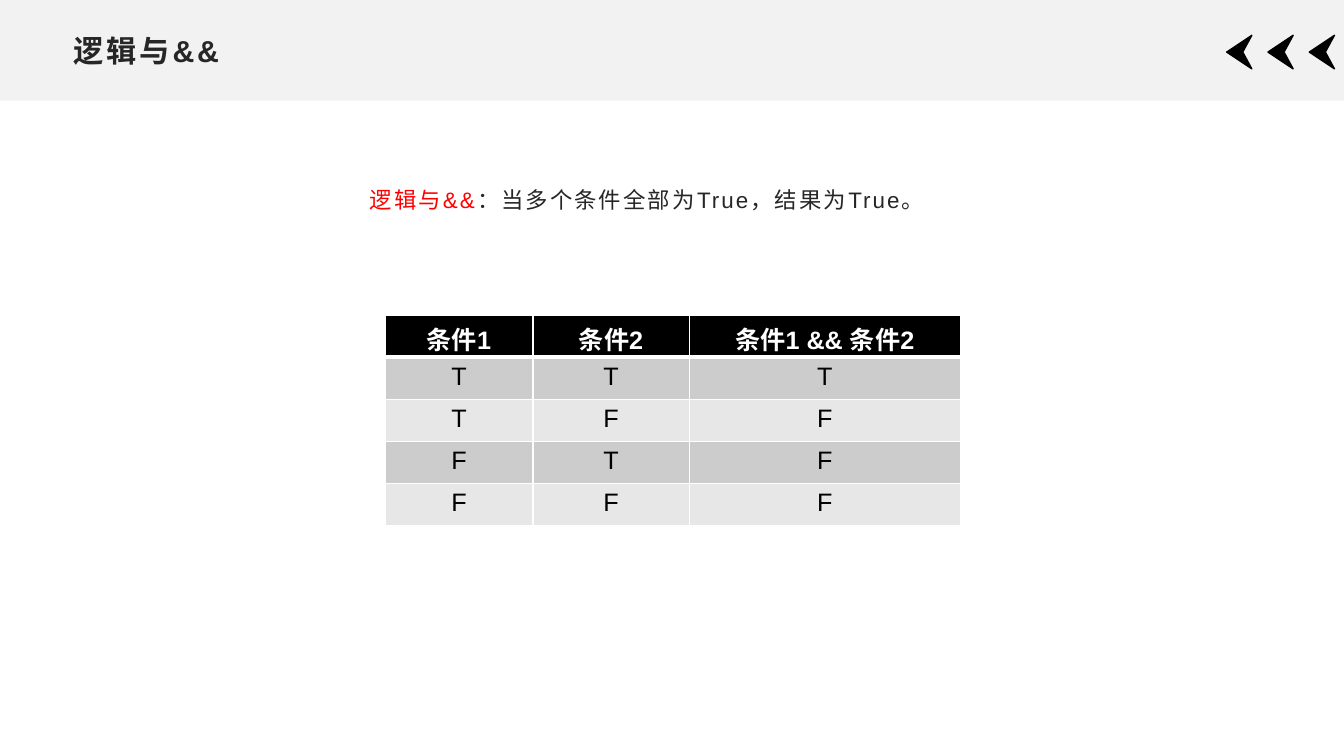
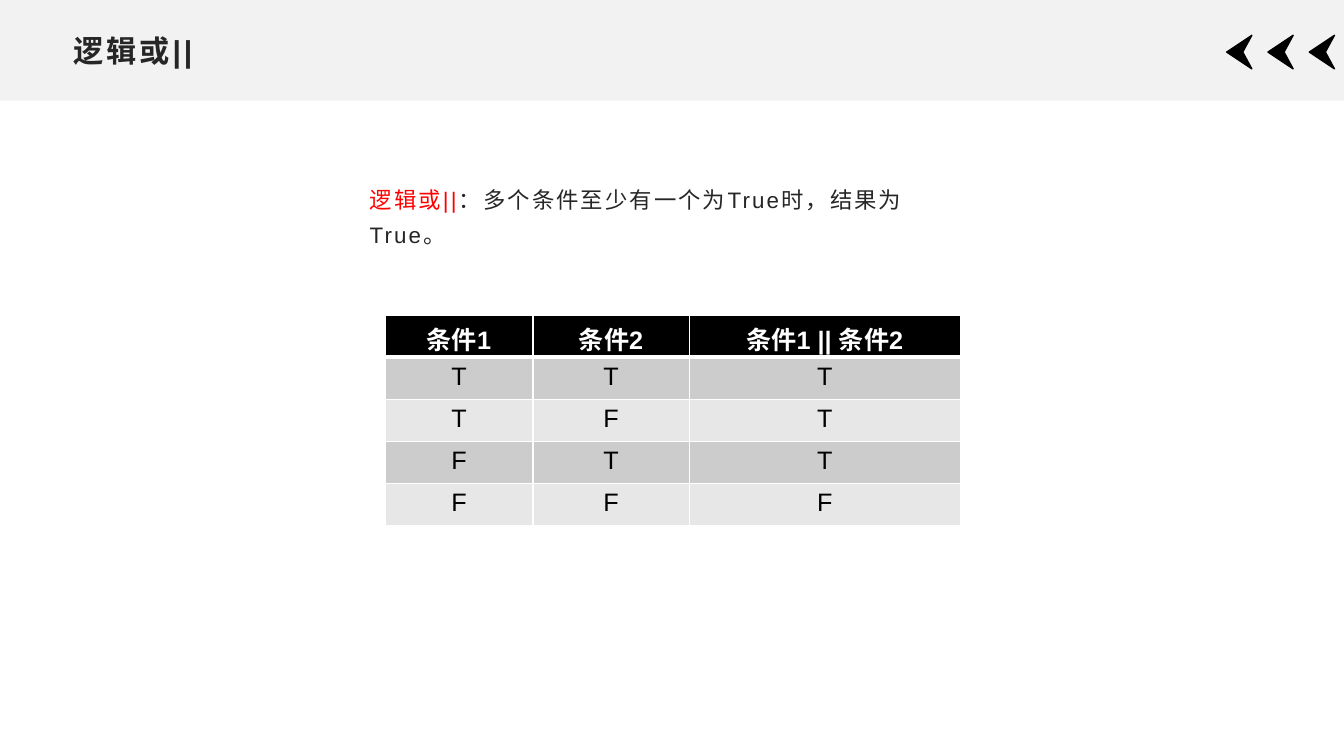
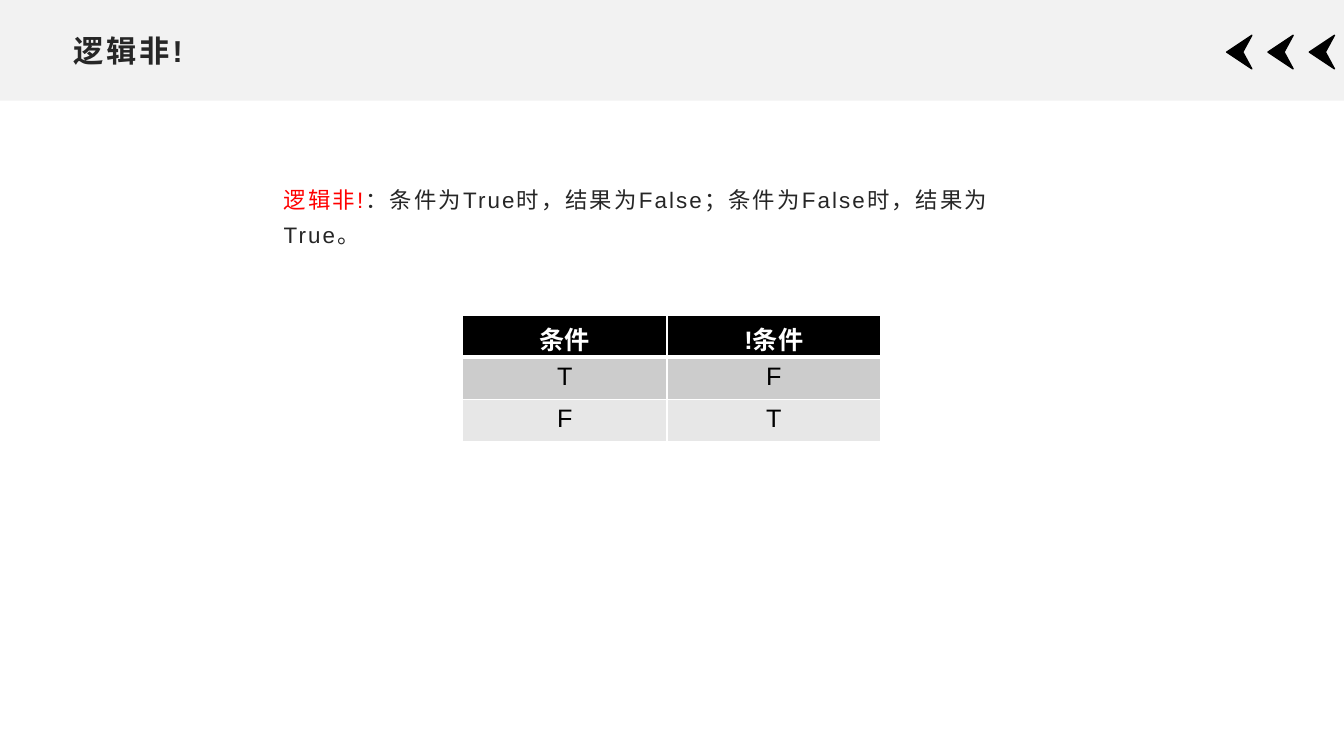
from dataclasses import dataclass

from lxml.etree import SubElement
from pptx import Presentation
from pptx.dml.color import RGBColor as Rgb
from pptx.enum.shapes import MSO_SHAPE as Shape
from pptx.enum.text import MSO_ANCHOR as Anchor, PP_ALIGN as Align
from pptx.oxml.ns import qn
from pptx.slide import Slide
from pptx.table import _Cell as Cell
from pptx.text.text import Font, TextFrame
from pptx.util import Pt


@dataclass(frozen=True)
class Theme:
    font: str = "Arial"
    band: Rgb = Rgb(0xF2, 0xF2, 0xF2)
    ink: Rgb = Rgb(0x26, 0x26, 0x26)
    accent: Rgb = Rgb(0xFF, 0x00, 0x00)
    black: Rgb = Rgb(0x00, 0x00, 0x00)
    white: Rgb = Rgb(0xFF, 0xFF, 0xFF)
    row_fills: tuple[Rgb, Rgb] = (Rgb(0xCC, 0xCC, 0xCC), Rgb(0xE7, 0xE7, 0xE7))
    title_size: float = 21.6
    body_size: float = 16
    table_size: float = 18


@dataclass(frozen=True)
class Operator:
    """One logical operator: its definition and its truth table."""
    name: str
    meaning: str
    meaning_left: float
    meaning_width: float
    table_left: float
    columns: tuple[float, ...]
    header: tuple[str, ...]
    rows: tuple[str, ...]


THEME = Theme()
SLIDE_WIDTH, SLIDE_HEIGHT = 960, 540
BAND_HEIGHT = 72
ARROW_LEFT, ARROW_TOP, ARROW_STEP, ARROW_COUNT = 876.2, 25.2, 29.5, 3
ARROW_OUTLINE = ((18, 24), (0, 12), (18, 0), (11.5, 12))
MEANING_TOP, TABLE_TOP, ROW_HEIGHT = 124, 225.2, 30
BINARY_COLUMNS = (105.7, 111.6, 193.7)

OPERATORS = (
    Operator("逻辑与&&", "：当多个条件全部为True，结果为True。", 257, 446,
             275, BINARY_COLUMNS, ("条件1", "条件2", "条件1 && 条件2"),
             ("TTT", "TFF", "FTF", "FFF")),
    Operator("逻辑或||", "：多个条件至少有一个为True时，结果为True。", 257, 449,
             275, BINARY_COLUMNS, ("条件1", "条件2", "条件1 || 条件2"),
             ("TTT", "TFT", "FTT", "FFF")),
    Operator("逻辑非!", "：条件为True时，结果为False；条件为False时，结果为True。", 195.6, 569.5,
             330.5, (146, 152.6), ("条件", "!条件"), ("TF", "FT")),
)


def style(font: Font, size: float, color: Rgb | None = None, bold: bool = False) -> None:
    font.name, font.size, font.bold = THEME.font, Pt(size), bold
    if color is not None:
        font.color.rgb = color


def add_text_frame(slide: Slide, left: float, top: float, width: float, height: float) -> TextFrame:
    frame = slide.shapes.add_textbox(Pt(left), Pt(top), Pt(width), Pt(height)).text_frame
    frame.word_wrap = True
    return frame


def add_run(frame: TextFrame, text: str, spacing: float, color: Rgb | None = None) -> None:
    """Append letter-spaced text to the first paragraph."""
    run = frame.paragraphs[0].add_run()
    run.text = text
    run._r.get_or_add_rPr().set("spc", str(round(spacing * 100)))
    if color is not None:
        run.font.color.rgb = color


def draw_heading(slide: Slide, title: str) -> None:
    band = slide.shapes.add_shape(Shape.RECTANGLE, 0, 0, Pt(SLIDE_WIDTH), Pt(BAND_HEIGHT))
    band.shadow.inherit = False
    band.fill.solid()
    band.fill.fore_color.rgb = THEME.band
    band.line.fill.background()

    for index in range(ARROW_COUNT):
        left = ARROW_LEFT + index * ARROW_STEP
        start, *others = [(Pt(left + x), Pt(ARROW_TOP + y)) for x, y in ARROW_OUTLINE]
        builder = slide.shapes.build_freeform(*start)
        builder.add_line_segments(others, close=True)
        arrow = builder.convert_to_shape()
        arrow.shadow.inherit = False
        arrow.fill.solid()
        arrow.fill.fore_color.rgb = THEME.black
        arrow.line.color.rgb = THEME.black
        arrow.line.width = Pt(1)

    heading = add_text_frame(slide, 45.4, 18.7, 869, 34.6)
    heading.vertical_anchor = Anchor.MIDDLE
    style(heading.paragraphs[0].font, THEME.title_size, THEME.ink, bold=True)
    add_run(heading, title, spacing=2)


def draw_meaning(slide: Slide, operator: Operator) -> None:
    meaning = add_text_frame(slide, operator.meaning_left, MEANING_TOP, operator.meaning_width, 44)
    paragraph = meaning.paragraphs[0]
    paragraph.line_spacing = 1.3
    paragraph.space_after = Pt(10)
    style(paragraph.font, THEME.body_size)
    add_run(meaning, operator.name, 1.5, THEME.accent)
    add_run(meaning, operator.meaning, 1.5, THEME.ink)


def set_borders(cell: Cell, **widths: float) -> None:
    """Draw white borders; keys are the sides L, R, T and B, in that order."""
    properties = cell._tc.get_or_add_tcPr()
    for index, (side, width) in enumerate(widths.items()):
        border = SubElement(properties, qn(f"a:ln{side}"), w=str(Pt(width)))
        properties.insert(index, border)
        fill = SubElement(border, qn("a:solidFill"))
        SubElement(fill, qn("a:srgbClr"), val=str(THEME.white))


def draw_truth_table(slide: Slide, operator: Operator) -> None:
    lines = (operator.header, *operator.rows)
    table = slide.shapes.add_table(
        len(lines), len(operator.columns), Pt(operator.table_left), Pt(TABLE_TOP),
        Pt(sum(operator.columns)), Pt(ROW_HEIGHT * len(lines))).table
    table.first_row = table.horz_banding = False
    for column, width in zip(table.columns, operator.columns):
        column.width = Pt(width)

    for row, values in enumerate(lines):
        is_header = row == 0
        for column, value in enumerate(values):
            cell = table.cell(row, column)
            cell.fill.solid()
            cell.fill.fore_color.rgb = THEME.black if is_header else THEME.row_fills[(row - 1) % 2]
            set_borders(cell, L=1, R=1, T=3 if row == 1 else 1, B=3 if is_header else 1)
            cell.text = value
            paragraph = cell.text_frame.paragraphs[0]
            paragraph.alignment = Align.CENTER
            style(paragraph.font, THEME.table_size,
                  THEME.white if is_header else THEME.black, bold=is_header)


def main() -> None:
    presentation = Presentation()
    presentation.slide_width, presentation.slide_height = Pt(SLIDE_WIDTH), Pt(SLIDE_HEIGHT)
    blank = presentation.slide_layouts[6]
    for operator in OPERATORS:
        slide = presentation.slides.add_slide(blank)
        draw_heading(slide, operator.name)
        draw_meaning(slide, operator)
        draw_truth_table(slide, operator)
    presentation.save("out.pptx")


if __name__ == "__main__":
    main()
